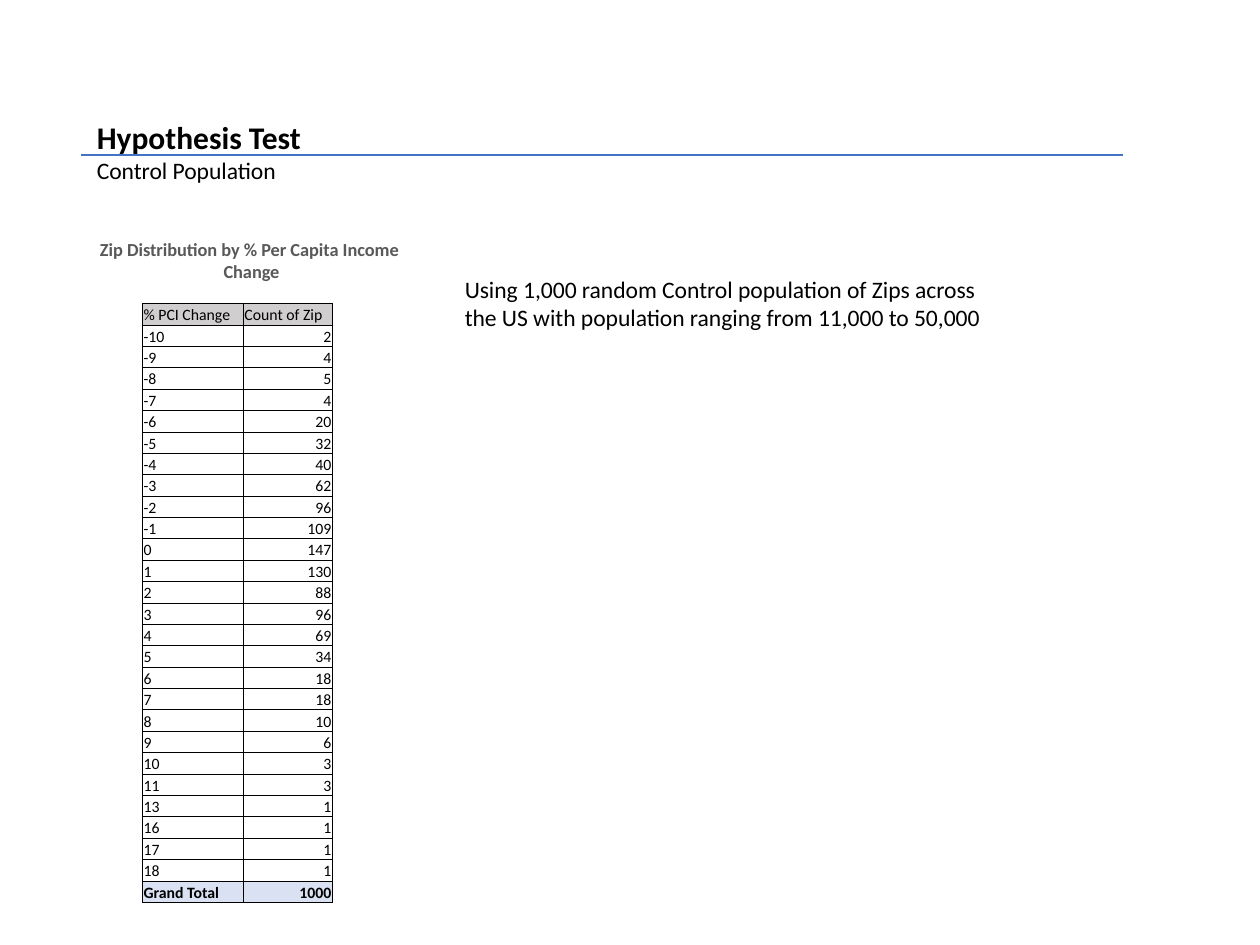
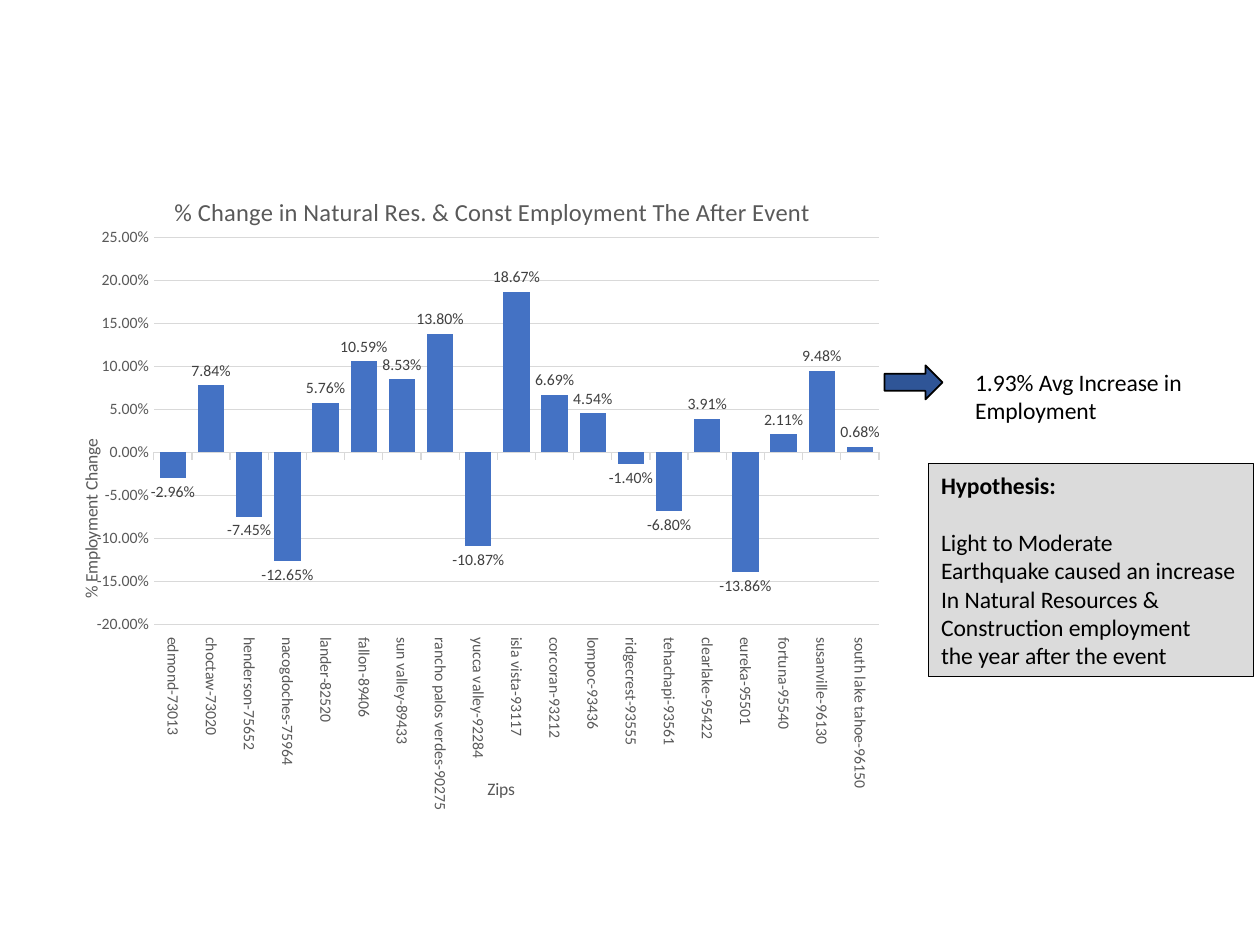
from lxml import etree
from pptx import Presentation, util as u
from pptx.chart.data import CategoryChartData
from pptx.dml.color import RGBColor
from pptx.enum import chart as ch, shapes, text
from pptx.oxml import parse_xml
from pptx.oxml.ns import nsdecls, qn

FONT = "Calibri"
BLACK = RGBColor(0, 0, 0)
GREY_TEXT = RGBColor(0x59, 0x59, 0x59)
LABEL_TEXT = RGBColor(0x40, 0x40, 0x40)
GRID = RGBColor(0xD9, 0xD9, 0xD9)
BLUE = RGBColor(0x44, 0x72, 0xC4)
ARROW_BLUE = RGBColor(0x2F, 0x55, 0x97)
HEAD_FILL = RGBColor(0xD0, 0xCE, 0xCE)
TOTAL_FILL = RGBColor(0xD9, 0xE1, 0xF2)
BOX_FILL = RGBColor(0xDB, 0xDB, 0xDB)
BODY, HEADING, CAPTION, SMALL = 13.5, 18, 10.5, 9

ZIP_COUNTS = [
    ("% PCI Change", "Count of Zip"),
    (-10, 2), (-9, 4), (-8, 5), (-7, 4), (-6, 20), (-5, 32), (-4, 40),
    (-3, 62), (-2, 96), (-1, 109), (0, 147), (1, 130), (2, 88), (3, 96),
    (4, 69), (5, 34), (6, 18), (7, 18), (8, 10), (9, 6), (10, 3), (11, 3),
    (13, 1), (16, 1), (17, 1), (18, 1),
    ("Grand Total", 1000),
]
EMPLOYMENT = [
    ("edmond-73013", -0.0296), ("choctaw-73020", 0.0784),
    ("henderson-75652", -0.0745), ("nacogdoches-75964", -0.1265),
    ("lander-82520", 0.0576), ("fallon-89406", 0.1059),
    ("sun valley-89433", 0.0853), ("rancho palos verdes-90275", 0.138),
    ("yucca valley-92284", -0.1087), ("isla vista-93117", 0.1867),
    ("corcoran-93212", 0.0669), ("lompoc-93436", 0.0454),
    ("ridgecrest-93555", -0.014), ("tehachapi-93561", -0.068),
    ("clearlake-95422", 0.0391), ("eureka-95501", -0.1386),
    ("fortuna-95540", 0.0211), ("susanville-96130", 0.0948),
    ("south lake tahoe-96150", 0.0068),
]
HYPOTHESIS = ["Hypothesis:", "Light to Moderate ", "Earthquake caused an increase",
              "In Natural Resources & ", "Construction employment",
              "the year after the event"]


def style(font, size, color=BLACK, bold=False):
    """Set the deck font on a font object."""
    font.name, font.size, font.bold = FONT, u.Pt(size), bold
    font.color.rgb = color


def write(tf, lines, size=BODY, color=BLACK, bold=False, align=None, wrap=False):
    """Write one paragraph per line and return the paragraphs."""
    tf.word_wrap = wrap
    for i, line in enumerate(lines):
        p = tf.add_paragraph() if i else tf.paragraphs[0]
        p.text, p.alignment = line, align
        style(p.font, size, color, bold)
    return tf.paragraphs


def text_box(s, box, lines, **look):
    """Add a text box at (left, top, width, height) inches."""
    sp = s.shapes.add_textbox(*map(u.Inches, box))
    return write(sp.text_frame, lines, **look)


def block(s, kind, box, fill, line_width):
    """Add a flat preset shape with a black outline."""
    sp = s.shapes.add_shape(kind, *map(u.Inches, box))
    sp.shadow.inherit = False
    sp.fill.solid()
    sp.fill.fore_color.rgb = fill
    sp.line.color.rgb, sp.line.width = BLACK, u.Pt(line_width)
    return sp


def rule(s, left, right, y):
    """Draw the thin blue line under the heading."""
    c = s.shapes.add_connector(shapes.MSO_CONNECTOR.STRAIGHT,
                               *map(u.Inches, (left, y, right, y)))
    c.line.color.rgb, c.line.width = BLUE, u.Pt(1)
    etree.SubElement(c._element.spPr, qn("a:effectLst"))


def border(cell):
    """Give a cell a thin black line on every side."""
    for i, side in enumerate("LRTB"):
        cell._tc.get_or_add_tcPr().insert(i, parse_xml(
            f'<a:ln{side} {nsdecls("a")} w="6350"><a:solidFill>'
            f'<a:srgbClr val="{BLACK}"/></a:solidFill></a:ln{side}>'))


def count_table(s, rows, left, top, widths, row_height):
    """Add the distribution table: header, counts, total."""
    frame = s.shapes.add_table(len(rows), len(widths), *map(
        u.Inches, (left, top, sum(widths), row_height * len(rows))))
    table = frame.table
    table.first_row = table.horz_banding = False
    for col, width in zip(table.columns, widths):
        col.width = u.Inches(width)
    fills = {0: HEAD_FILL, len(rows) - 1: TOTAL_FILL}
    for r, values in enumerate(rows):
        table.rows[r].height = u.Inches(row_height)
        for c, value in enumerate(values):
            cell = table.cell(r, c)
            cell.margin_left = cell.margin_right = cell.margin_top = u.Inches(0.01)
            cell.margin_bottom = 0
            cell.vertical_anchor = text.MSO_ANCHOR.BOTTOM
            p = cell.text_frame.paragraphs[0]
            p.text = str(value)
            p.alignment = text.PP_ALIGN.RIGHT if r and c else text.PP_ALIGN.LEFT
            style(p.font, SMALL, bold=r == len(rows) - 1)
            if r in fills:
                cell.fill.solid()
                cell.fill.fore_color.rgb = fills[r]
            else:
                cell.fill.background()
            border(cell)


def place(element, after, target="", **shares):
    """Fix a chart part's place by shares of the chart's size."""
    for old in element.findall(qn("c:layout")):
        element.remove(old)
    marks = [(f"{k}Mode", "edge") for k in "xy"] + list(shares.items())
    if target:
        marks.insert(0, ("layoutTarget", target))
    body = "".join(f'<c:{k} val="{v}"/>' for k, v in marks)
    layout = parse_xml(f'<c:layout {nsdecls("c")}><c:manualLayout>{body}'
                       '</c:manualLayout></c:layout>')
    if after:
        element.find(qn(after)).addnext(layout)
    else:
        element.insert(0, layout)


def chart_title(title, words, size, x, y, turn=0):
    """Write a chart or axis title, placed and turned."""
    tf = title.text_frame
    tf.text = words
    style(tf.paragraphs[0].font, size, GREY_TEXT)
    tf._txBody.bodyPr.set("rot", str(turn * 60000))
    place(title._element, "c:tx", x=x, y=y)


def employment_chart(s, box):
    """Add the column chart of employment change by zip."""
    data = CategoryChartData(number_format="0.00%")
    data.categories = [name for name, _ in EMPLOYMENT]
    data.add_series("Series 1", [value for _, value in EMPLOYMENT])
    chart = s.shapes.add_chart(ch.XL_CHART_TYPE.COLUMN_CLUSTERED,
                               *map(u.Inches, box), data).chart
    style(chart.font, 10)
    chart.has_legend = False
    chart.has_title = True
    chart_title(chart.chart_title, "% Change in Natural Res. & Const Employment "
                "The After Event", 14, 0.12, 0.04)
    place(chart._chartSpace.chart.plotArea, None, "inner",
          x=0.101, y=0.112, w=0.854, h=0.601)

    plot = chart.plots[0]
    plot.gap_width, plot.overlap, plot.vary_by_categories = 45, -27, False
    plot.series[0].format.fill.solid()
    plot.series[0].format.fill.fore_color.rgb = BLUE
    plot.series[0].invert_if_negative = False
    plot.has_data_labels = True
    labels = plot.data_labels
    labels.show_value = True
    labels.position = ch.XL_LABEL_POSITION.OUTSIDE_END
    labels.number_format, labels.number_format_is_linked = "0.00%", False
    style(labels.font, SMALL, LABEL_TEXT)

    cat, val = chart.category_axis, chart.value_axis
    for axis in (cat, val):
        style(axis.tick_labels.font, SMALL, GREY_TEXT)
    chart_title(cat.axis_title, "Zips", 10, 0.49, 0.945)
    chart_title(val.axis_title, "% Employment Change", 10, 0.01, 0.42, -90)
    cat.tick_label_position = ch.XL_TICK_LABEL_POSITION.LOW
    cat.major_tick_mark = ch.XL_TICK_MARK.OUTSIDE
    cat._element.txPr.bodyPr.set("rot", str(90 * 60000))
    val.major_tick_mark = ch.XL_TICK_MARK.NONE
    val.minimum_scale, val.maximum_scale, val.major_unit = -0.2, 0.25, 0.05
    val.tick_labels.number_format = "0.00%"
    val.tick_labels.number_format_is_linked = False
    val.format.line.fill.background()
    for line in (cat.format.line, val.major_gridlines.format.line):
        line.color.rgb, line.width = GRID, u.Pt(0.75)


def control_slide(s):
    """Build the control population slide."""
    text_box(s, (3.59, 2.13, 4.49, 0.56),
             ["Using 1,000 random Control population of Zips across the US "
              "with population ranging from 11,000 to 50,000"], wrap=True)
    heading, _ = text_box(s, (0.67, 0.89, 1.89, 0.63),
                          ["Hypothesis Test ", "Control Population"])
    style(heading.font, HEADING, bold=True)
    text_box(s, (0.67, 1.84, 2.62, 0.45),
             ["Zip Distribution by % Per Capita Income", " Change"], size=CAPTION,
             color=GREY_TEXT, bold=True, align=text.PP_ALIGN.CENTER)
    rule(s, 0.64, 8.91, 1.23)
    count_table(s, ZIP_COUNTS, 1.13, 2.41, (0.8, 0.71), 0.17)


def result_slide(s):
    """Build the employment change slide."""
    employment_chart(s, (0.54, 1.31, 6.74, 5.12))
    box = block(s, shapes.MSO_SHAPE.RECTANGLE, (7.37, 3.68, 2.58, 1.69), BOX_FILL, 0.25)
    lines = write(box.text_frame, HYPOTHESIS, align=text.PP_ALIGN.LEFT)
    lines[0].font.bold = True
    lines[1].space_before = u.Pt(BODY * 1.22)
    block(s, shapes.MSO_SHAPE.RIGHT_ARROW, (7.02, 2.9, 0.46, 0.27), ARROW_BLUE, 1)
    text_box(s, (7.64, 2.87, 1.91, 0.56), ["1.93% Avg Increase in ", "Employment"])


prs = Presentation()
prs.slide_width, prs.slide_height = u.Inches(10), u.Inches(7.5)
for build in (control_slide, result_slide):
    build(prs.slides.add_slide(prs.slide_layouts[6]))
prs.save("out.pptx")
